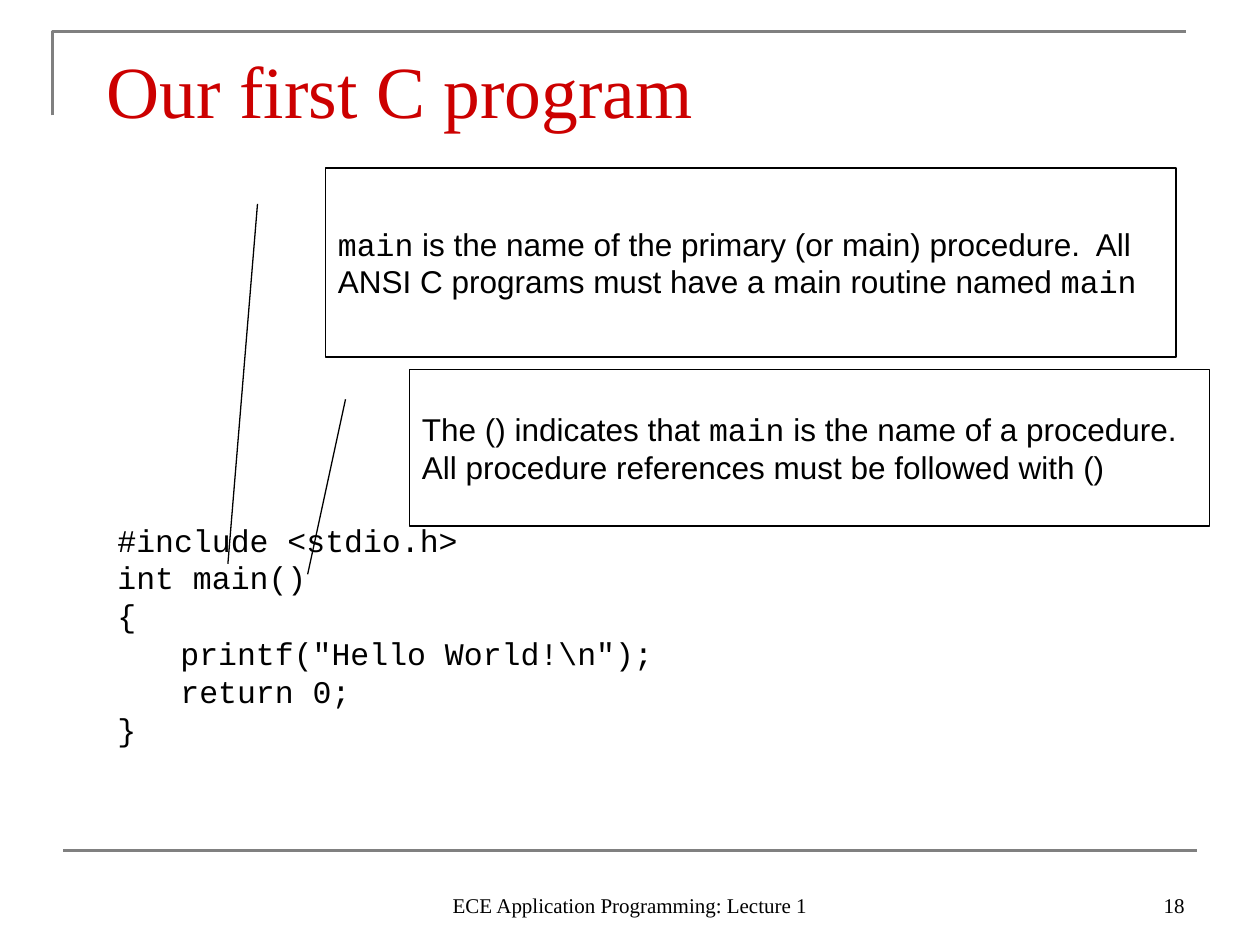
from lxml.etree import SubElement
from pptx import Presentation
from pptx.dml.color import RGBColor
from pptx.enum.shapes import MSO_CONNECTOR as Link, MSO_SHAPE as Shape
from pptx.enum.text import MSO_ANCHOR as Anchor, PP_ALIGN as Align
from pptx.oxml.ns import qn
from pptx.util import Inches, Pt

BLACK = RGBColor(0x00, 0x00, 0x00)
GREY = RGBColor(0x80, 0x80, 0x80)
RED = RGBColor(0xCC, 0x00, 0x00)
WHITE = RGBColor(0xFF, 0xFF, 0xFF)
SANS, MONO, SERIF = "Arial", "Courier New", "Times New Roman"
WIDE, HIGH = 120, 90
UNIT = Inches(10) / WIDE

CODE = r"""#include <stdio.h>
int main()
{
	printf("Hello World!\n");
	return 0;
}"""
MAIN = [
    ("main", MONO),
    (" is the name of the primary (or main) procedure.  All ANSI C programs"
     " must have a main routine named ", SANS),
    ("main", MONO),
]
PARENS = [
    ("The () indicates that ", SANS),
    ("main", MONO),
    (" is the name of a procedure.  All procedure references must be"
     " followed with ()", SANS),
]


def grid(*cells):
    """Turn grid cells into slide lengths."""
    return [round(cell * UNIT) for cell in cells]


def add_run(para, text, font, size, color=BLACK):
    """Add one styled run to a paragraph."""
    run = para.add_run()
    run.text = text
    run.font.name, run.font.size = font, Pt(size)
    run.font.color.rgb = color


def stroke(line, color, width):
    """Colour and size a line."""
    line.color.rgb, line.width = color, Pt(width)


def add_label(slide, box, text, font, size, color=BLACK,
              anchor=Anchor.BOTTOM, align=Align.LEFT):
    """Place a text box, breaking the text at its line ends."""
    frame = slide.shapes.add_textbox(*grid(*box)).text_frame
    frame.word_wrap, frame.vertical_anchor = True, anchor
    para = frame.paragraphs[0]
    para.alignment = align
    for index, row in enumerate(text.split("\n")):
        if index:
            para.add_line_break()
        add_run(para, row, font, size, color)


def add_note(slide, box, runs, tip):
    """Place a bordered callout whose leader ends at the tip."""
    left, top, width, height = box
    note = slide.shapes.add_shape(Shape.LINE_CALLOUT_1, *grid(*box))
    note.shadow.inherit = False
    note.fill.background()
    stroke(note.line, BLACK, 0.75)
    ends = (0.19, -0.08, (tip[1] - top) / height, (tip[0] - left) / width)
    for index, end in enumerate(ends):
        note.adjustments[index] = end
    frame = note.text_frame
    frame.word_wrap, frame.vertical_anchor = True, Anchor.MIDDLE
    para = frame.paragraphs[0]
    para.alignment = Align.LEFT
    for text, font in runs:
        add_run(para, text, font, 18)


def add_head(slide, box):
    """Draw the corner rule and the title inside it."""
    left, top, width, height = box
    x, y, right, base = grid(left, top, left + width, top + height)
    pen = slide.shapes.build_freeform(x, base)
    pen.add_line_segments([(x, y), (right, y)], close=False)
    rule = pen.convert_to_shape()
    rule.shadow.inherit = False
    rule.fill.background()
    stroke(rule.line, GREY, 1.5)
    add_label(slide, (left + 4, top, width - 6, height + 3),
              "Our first C program", SERIF, 42, RED, Anchor.MIDDLE)


def add_foot(slide, box):
    """Draw the lower rule, the lecture name and the page number."""
    left, top, width, height = box
    x, y, right = grid(left, top, left + width)
    rule = slide.shapes.add_connector(Link.STRAIGHT, x, y, right, y)
    SubElement(rule._element.spPr, qn("a:effectLst"))
    stroke(rule.line, GREY, 1.5)
    row = top + 1
    add_label(slide, (left + 35, row, 38, height - 1),
              "ECE Application Programming: Lecture 1", SERIF, 12,
              align=Align.CENTER)
    add_label(slide, (left + width - 28, row, 28, height - 1), "18", SERIF,
              12, align=Align.RIGHT)


def add_body(slide, box):
    """Place the code and the two notes that point into it."""
    left, top, width, height = box
    add_label(slide, (left, top + 33, 103, height - 33), CODE, MONO, 18,
              anchor=Anchor.TOP)
    add_note(slide, (left + 21, top, 81, 18), MAIN,
             (left + 11.7, top + 37.7))
    add_note(slide, (left + 29, top + 19.2, 76.2, 14.9), PARENS,
             (left + 19.3, top + 38.7))


def main():
    """Build and save the slide."""
    deck = Presentation()
    deck.slide_width, deck.slide_height = grid(WIDE, HIGH)
    slide = deck.slides.add_slide(deck.slide_layouts[6])
    slide.background.fill.solid()
    slide.background.fill.fore_color.rgb = WHITE
    add_head(slide, (5, 3, 108, 8))
    add_body(slide, (10, 16, 105, 55.8))
    add_foot(slide, (6, 81, 108, 7))
    deck.save("out.pptx")


if __name__ == "__main__":
    main()
